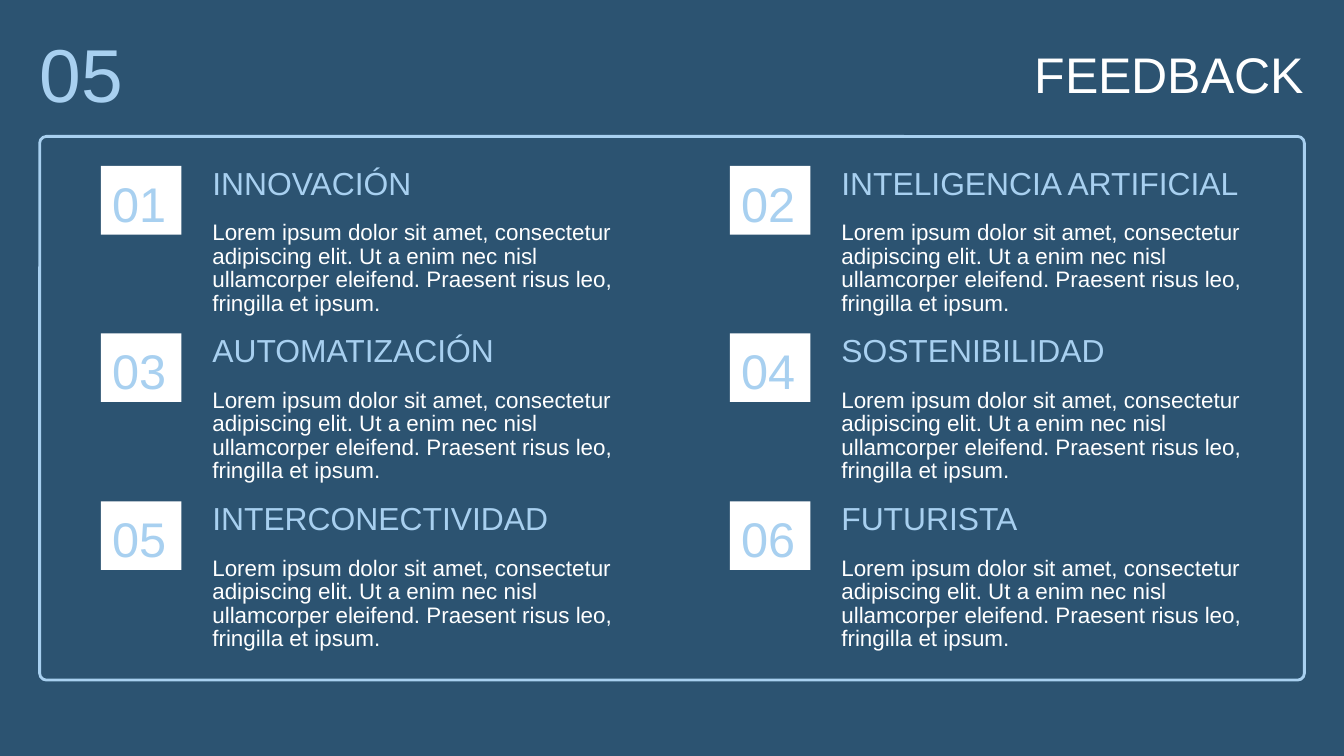
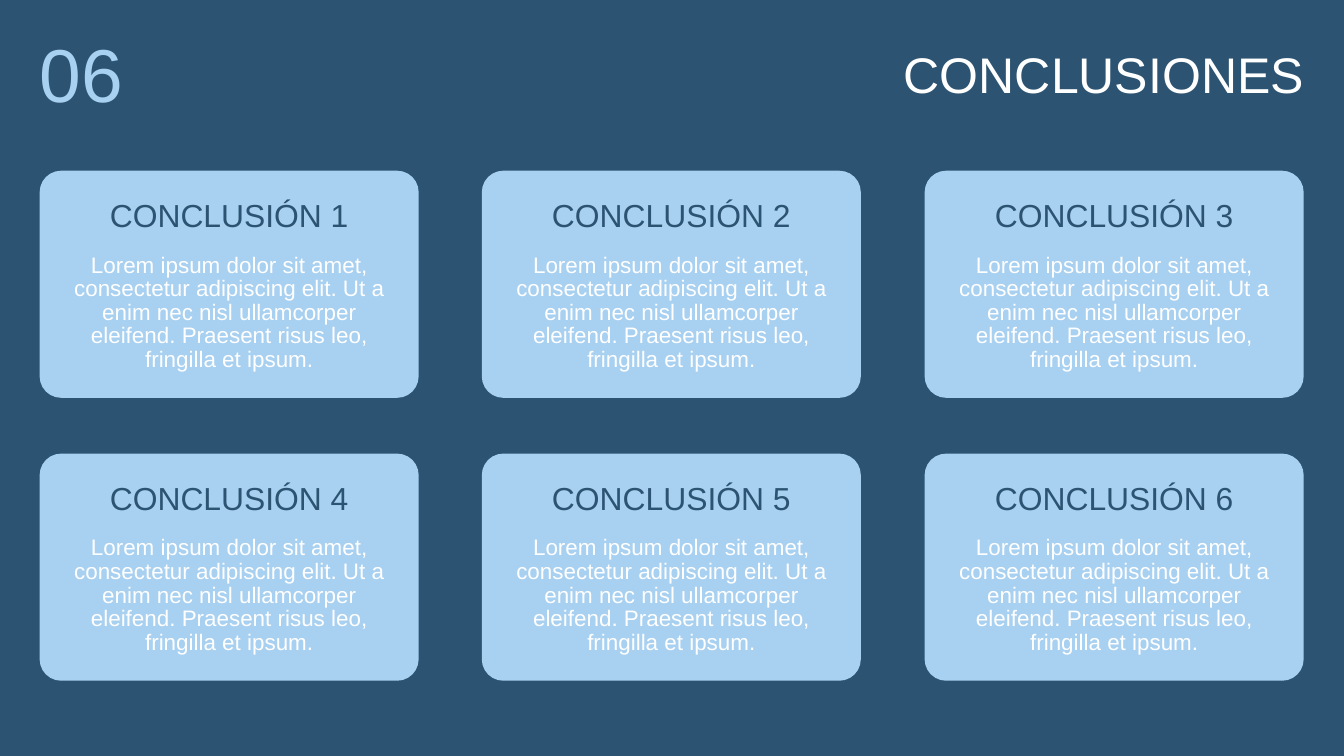
from pptx import Presentation
from pptx import util as u
from pptx.dml.color import RGBColor
from pptx.enum import shapes, text

NAVY = RGBColor(0x2C, 0x53, 0x71)
SKY = RGBColor(0xA8, 0xD0, 0xF0)
WHITE = RGBColor(0xFF, 0xFF, 0xFF)
FONT = "Arial"
PX = 9144
SLIDE_SIZE = (2000, 1125)
MARGIN = 59
LINE_RATIO = 1.05
LEFT, CENTER, RIGHT = text.PP_ALIGN.LEFT, text.PP_ALIGN.CENTER, text.PP_ALIGN.RIGHT

LOREM = (
    "Lorem ipsum dolor sit amet, consectetur adipiscing elit. Ut a enim nec nisl "
    "ullamcorper eleifend. Praesent risus leo, fringilla et ipsum."
)
FEEDBACK_TOPICS = [
    "INNOVACIÓN",
    "INTELIGENCIA ARTIFICIAL",
    "AUTOMATIZACIÓN",
    "SOSTENIBILIDAD",
    "INTERCONECTIVIDAD",
    "FUTURISTA",
]
CONCLUSIONS = [f"CONCLUSIÓN {number}" for number in range(1, 7)]


def px(*lengths):
    return [u.Emu(length * PX) for length in lengths]


def add_text(slide, words, box, size, color, align=LEFT):
    shape = slide.shapes.add_textbox(*px(*box))
    frame = shape.text_frame
    frame.margin_left = frame.margin_top = frame.margin_right = frame.margin_bottom = 0
    frame.word_wrap = True
    frame.auto_size = text.MSO_AUTO_SIZE.SHAPE_TO_FIT_TEXT
    frame.text = words
    paragraph = frame.paragraphs[0]
    paragraph.alignment = align
    paragraph.line_spacing = u.Pt(round(size * LINE_RATIO, 1))
    font = paragraph.runs[0].font
    font.name, font.size, font.color.rgb = FONT, u.Pt(size), color


def add_box(slide, box, fill=None, line=None, radius=0):
    kind = shapes.MSO_SHAPE.ROUNDED_RECTANGLE if radius else shapes.MSO_SHAPE.RECTANGLE
    shape = slide.shapes.add_shape(kind, *px(*box))
    shape.shadow.inherit = False
    if radius:
        shape.adjustments[0] = radius / min(box[2:])
    if fill is None:
        shape.fill.background()
    else:
        shape.fill.solid()
        shape.fill.fore_color.rgb = fill
    if line is None:
        shape.line.fill.background()
    else:
        shape.line.color.rgb = line
        shape.line.width = u.Pt(3)


def add_topic(slide, title, left, top, width, body_height, title_color, align):
    add_text(slide, LOREM, (left, top + 80, width, body_height), 24, WHITE, align)
    add_text(slide, title, (left, top, width, 53), 34.1, title_color, align)


def add_section(presentation, number, title):
    slide = presentation.slides.add_slide(presentation.slide_layouts[6])
    slide.background.fill.solid()
    slide.background.fill.fore_color.rgb = NAVY
    add_text(slide, number, (MARGIN, 58, 249, 121), 80.3, SKY)
    add_text(slide, title, (1214, 76, 727, 81), 53.6, WHITE, RIGHT)
    return slide


def build_feedback(presentation):
    slide = add_section(presentation, "05", "FEEDBACK")
    add_box(slide, (MARGIN, 203, 1882, 809), line=SKY, radius=10)
    for index, topic in enumerate(FEEDBACK_TOPICS):
        row, column = divmod(index, 2)
        left, top = 150 + column * 936, 247 + row * 499 // 2
        add_box(slide, (left, top, 120, 102), fill=WHITE)
        add_text(slide, f"{index + 1:02}", (left, top + 22, 116, 80), 52.1, SKY, CENTER)
        add_topic(slide, topic, left + 166, top + 3, 598, 140, SKY, LEFT)


def build_conclusions(presentation):
    slide = add_section(presentation, "06", "CONCLUSIONES")
    for index, conclusion in enumerate(CONCLUSIONS):
        row, column = divmod(index, 3)
        left, top = MARGIN + column * 1317 // 2, 254 + row * 421
        add_box(slide, (left, top, 564, 338), fill=SKY, radius=32)
        add_topic(slide, conclusion, left + 44, top + 44, 476, 175, NAVY, CENTER)


def main():
    presentation = Presentation()
    presentation.slide_width, presentation.slide_height = px(*SLIDE_SIZE)
    build_feedback(presentation)
    build_conclusions(presentation)
    presentation.save("out.pptx")


if __name__ == "__main__":
    main()
